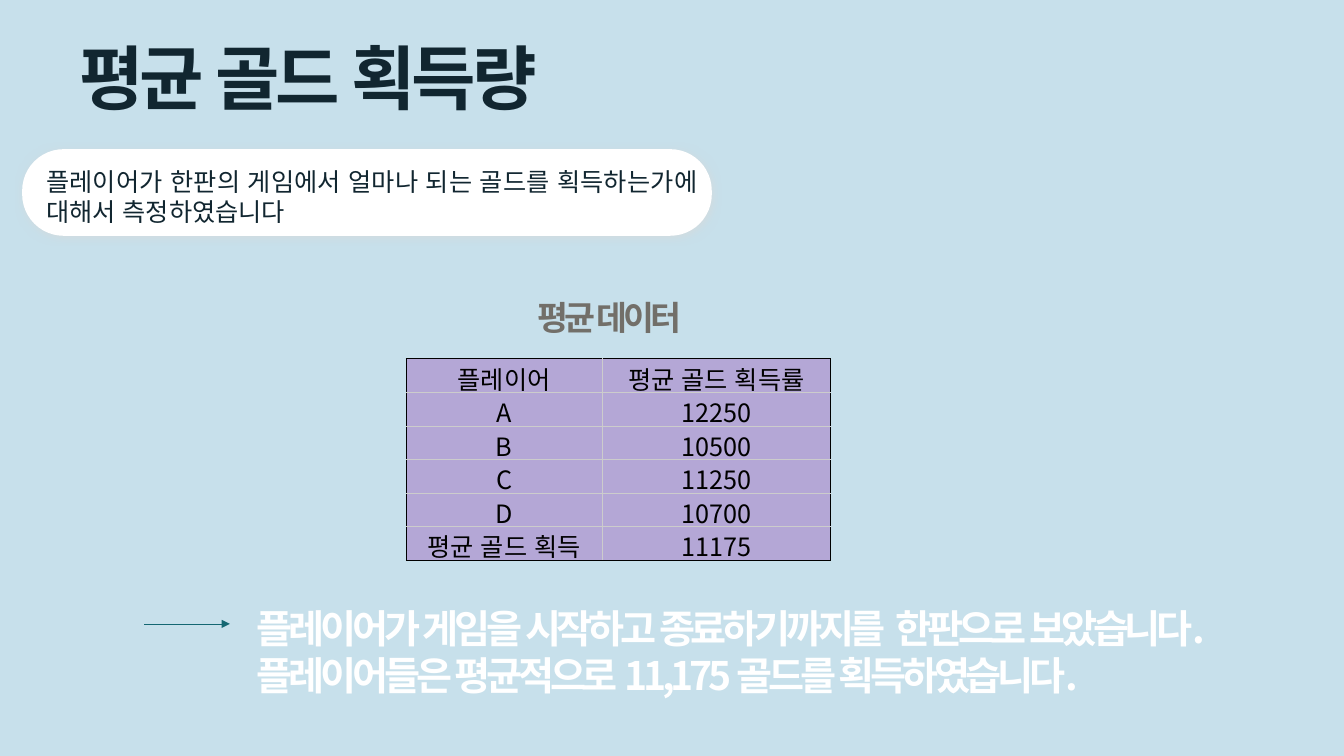
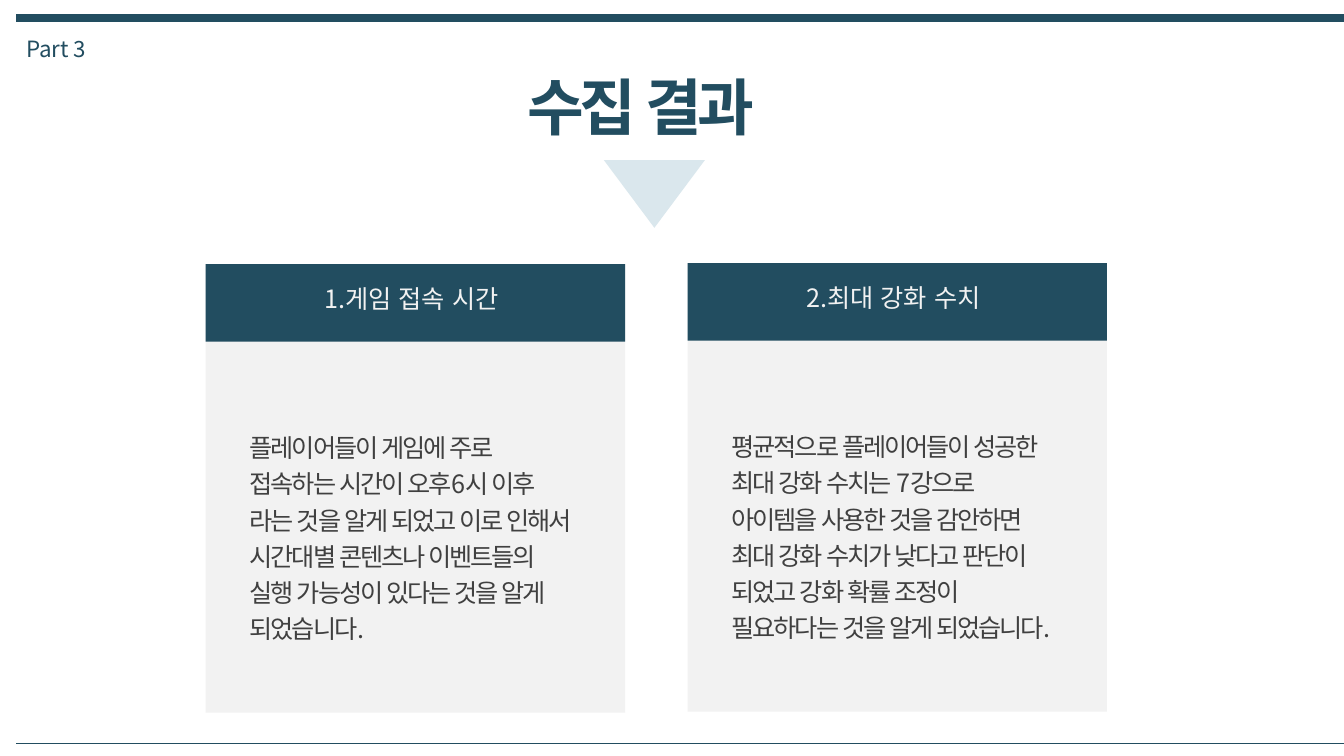
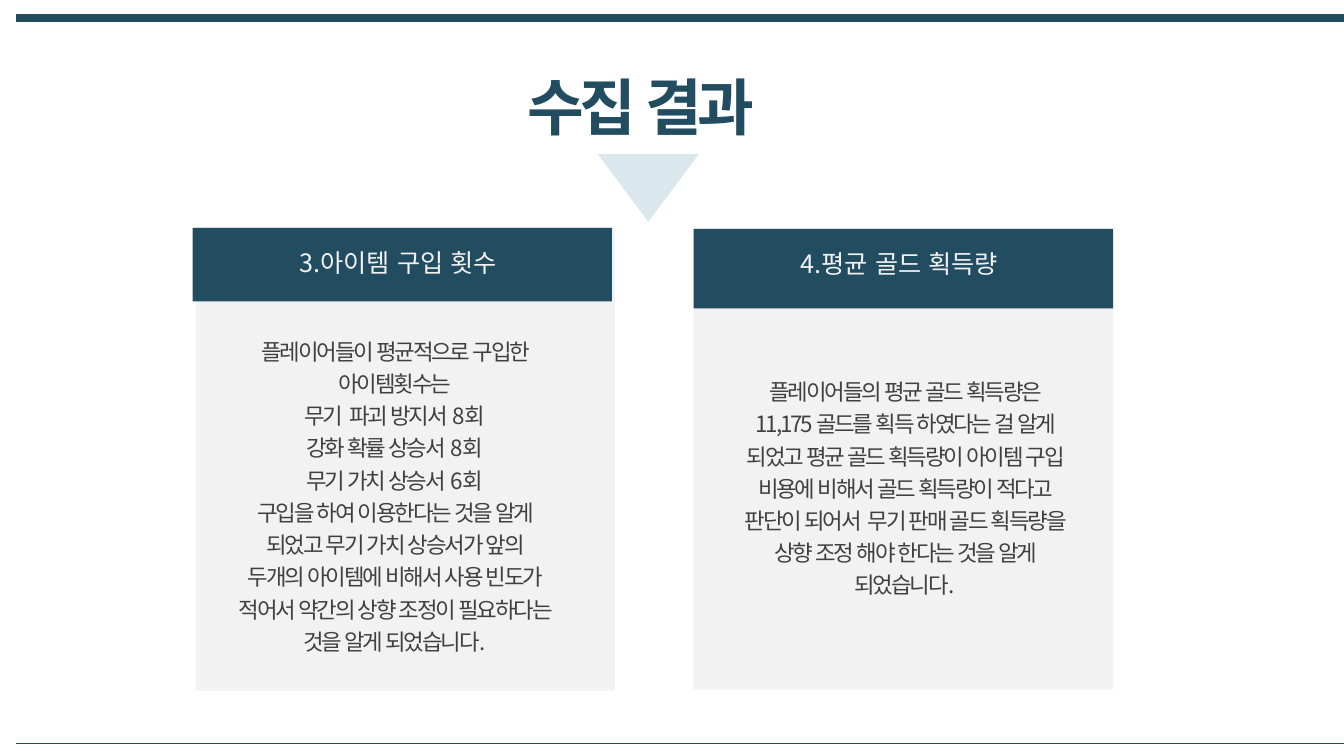
from lxml import etree
from pptx import Presentation
from pptx import util as u
from pptx.dml.color import RGBColor
from pptx.enum import shapes, text
from pptx.enum.lang import MSO_LANGUAGE_ID as Lang
from pptx.oxml import parse_xml
from pptx.oxml.ns import nsdecls, qn

FONT = "Noto Sans CJK KR"
SKY = RGBColor(0xC7, 0xE0, 0xEB)
WHITE = RGBColor(0xFF, 0xFF, 0xFF)
BLACK = RGBColor(0, 0, 0)
INK = RGBColor(0x11, 0x26, 0x30)
NAVY = RGBColor(0x22, 0x4D, 0x60)
TEAL = RGBColor(0x14, 0x67, 0x72)
TAUPE = RGBColor(0x72, 0x6F, 0x69)
LILAC = RGBColor(0xB4, 0xA7, 0xD6)
RULE = RGBColor(0xCC, 0xCC, 0xCC)
PALE = RGBColor(0xF2, 0xF2, 0xF2)
MIST = RGBColor(0xDA, 0xE7, 0xED)
GREY = RGBColor(0x40, 0x40, 0x40)
SHADE = RGBColor(0xD9, 0xD9, 0xD9)

LEFT, MID, JUST = (text.PP_ALIGN.LEFT, text.PP_ALIGN.CENTER,
                   text.PP_ALIGN.JUSTIFY)
RECT = shapes.MSO_SHAPE.RECTANGLE

# Content
INTRO = "플레이어가 한판의 게임에서 얼마나 되는 골드를 획득하는가에 대해서 측정하였습니다"
GOLD = [
    ("플레이어", "평균 골드 획득률"),
    ("A", "12250"),
    ("B", "10500"),
    ("C", "11250"),
    ("D", "10700"),
    ("평균 골드 획득", "11175"),
]
NOTES = [
    "플레이어가 게임을 시작하고 종료하기까지를  한판으로 보았습니다.",
    "플레이어들은 평균적으로 11,175 골드를 획득하였습니다.",
]
# Each card: panel and head boxes, label, text box, size, alignment, lines
RESULTS = [
    dict(part="Part 3", arrow=(5.99, 1.59), cards=[
        dict(panel=(2.04, 2.62, 4.16, 4.45), head=(2.04, 2.62, 4.16, 0.77),
             label="1.게임 접속 시간", body=(2.38, 4.18, 3.43, 2.28),
             size=18, align=LEFT, lines=[
                 "플레이어들이 게임에 주로 접속하는 시간이 오후6시 이후 라는 것을 "
                 "알게 되었고 이로 인해서 시간대별 콘텐츠나 이벤트들의 실행 "
                 "가능성이 있다는 것을 알게 되었습니다."]),
        dict(panel=(6.82, 2.61, 4.16, 4.45), head=(6.82, 2.61, 4.16, 0.77),
             label="2.최대 강화 수치", body=(7.16, 4.17, 3.43, 2.25),
             size=18, align=LEFT, lines=[
                 "평균적으로 플레이어들이 성공한 최대 강화 수치는 7강으로 아이템을 "
                 "사용한 것을 감안하면 최대 강화 수치가 낮다고 판단이 되었고 강화 "
                 "확률 조정이 필요하다는 것을 알게 되었습니다."]),
    ]),
    dict(part=None, arrow=(5.93, 1.53), cards=[
        dict(panel=(1.94, 2.25, 4.16, 4.6), head=(1.91, 2.26, 4.16, 0.73),
             label="3.아이템 구입 횟수", body=(2.25, 3.25, 3.33, 3.3),
             size=16, align=MID, lines=[
                 "플레이어들이 평균적으로 구입한 아이템횟수는",
                 "무기  파괴 방지서 8회",
                 "강화 확률 상승서 8회",
                 "무기 가치 상승서 6회",
                 "구입을 하여 이용한다는 것을 알게 되었고 무기 가치 상승서가 앞의 "
                 "두개의 아이템에 비해서 사용 빈도가 적어서 약간의 상향 조정이 "
                 "필요하다는 것을 알게 되었습니다."]),
        dict(panel=(6.88, 2.27, 4.16, 4.57), head=(6.88, 2.27, 4.16, 0.79),
             label="4.평균 골드 획득량", body=(7.26, 3.65, 3.43, 2.4),
             size=16, align=MID, lines=[
                 "플레이어들의 평균 골드 획득량은 11,175 골드를 획득 하였다는 걸 "
                 "알게 되었고 평균 골드 획득량이 아이템 구입 비용에 비해서 골드 "
                 "획득량이 적다고 판단이 되어서  무기 판매 골드 획득량을 상향 조정 "
                 "해야 한다는 것을 알게 되었습니다."]),
    ]),
]


def inch(box):
    return [u.Inches(v) for v in box]


def write(frame, lines, size, color, bold=False, gap=0, align=LEFT,
          lead=None):
    """Fill a text frame, one paragraph per line."""
    for i, line in enumerate(lines):
        para = frame.paragraphs[0] if i == 0 else frame.add_paragraph()
        para.alignment = align
        if lead:
            para.line_spacing = lead
        run = para.add_run()
        run.text = line
        font = run.font
        font.size, font.bold, font.name = u.Pt(size), bold, FONT
        font.color.rgb = color
        font.language_id = Lang.KOREAN
        props = run._r.get_or_add_rPr()
        if gap:
            props.set("spc", str(int(gap * 100)))
        etree.SubElement(props, qn("a:ea")).set("typeface", FONT)


def label(host, box, lines, size, color, wrap=True, **style):
    frame = host.add_textbox(*inch(box)).text_frame
    frame.word_wrap = wrap
    frame.auto_size = text.MSO_AUTO_SIZE.SHAPE_TO_FIT_TEXT
    write(frame, lines, size, color, **style)


def block(host, kind, box, color):
    shape = host.add_shape(kind, *inch(box))
    shape.shadow.inherit = False
    shape.fill.solid()
    shape.fill.fore_color.rgb = color
    shape.line.fill.background()
    return shape


def rule(host, ends, color, width, arrow=False):
    line = host.add_connector(shapes.MSO_CONNECTOR.STRAIGHT, *inch(ends))
    line.line.color.rgb = color
    line.line.width = u.Pt(width)
    if arrow:
        stroke = line.line._get_or_add_ln()
        etree.SubElement(stroke, qn("a:tailEnd")).set("type", "triangle")
    etree.SubElement(line._element.spPr, qn("a:effectLst"))


def border(cell, side, color):
    cell._tc.get_or_add_tcPr().append(parse_xml(
        f'<a:ln{side} {nsdecls("a")} w="7620"><a:solidFill>'
        f'<a:srgbClr val="{color}"/></a:solidFill></a:ln{side}>'))


def new(deck, color):
    slide = deck.slides.add_slide(deck.slide_layouts[6])
    slide.background.fill.solid()
    slide.background.fill.fore_color.rgb = color
    return slide.shapes


def grid(host):
    rows, cols = len(GOLD), len(GOLD[0])
    frame = host.add_table(rows, cols, *inch((4.03, 3.56, 4.21, 2)))
    table = frame.table
    table.first_row = table.horz_banding = False
    for col, wide in zip(table.columns, (1.94, 2.27)):
        col.width = u.Inches(wide)
    for r, row in enumerate(GOLD):
        for c, value in enumerate(row):
            cell = table.cell(r, c)
            edges = dict(L=c == 0, R=c == cols - 1, T=r == 0, B=r == rows - 1)
            for side, outer in edges.items():
                border(cell, side, BLACK if outer else RULE)
            cell.fill.solid()
            cell.fill.fore_color.rgb = LILAC
            cell.margin_left = cell.margin_right = u.Inches(0.03)
            cell.margin_top, cell.margin_bottom = inch((0.01, 0.02))
            cell.vertical_anchor = text.MSO_ANCHOR.BOTTOM
            write(cell.text_frame, [value], 18, BLACK, align=MID)


def average(deck):
    host = new(deck, SKY)
    label(host, (0.69, 0.29, 5.47, 0.94), ["평균 골드 획득량"], 50, INK,
          bold=True, gap=-3)
    # Introduction in a pill with a soft shadow
    group = host.add_group_shape().shapes
    pill = block(group, shapes.MSO_SHAPE.ROUNDED_RECTANGLE,
                 (0.22, 1.48, 6.84, 0.86), WHITE)
    pill.adjustments[0] = 0.48
    pill._element.spPr.find(qn("a:effectLst")).append(parse_xml(
        f'<a:outerShdw {nsdecls("a")} blurRad="{u.Pt(6)}" dist="{u.Pt(1)}" '
        f'dir="2700000"><a:srgbClr val="{SHADE}"><a:alpha val="60000"/>'
        '</a:srgbClr></a:outerShdw>'))
    label(group, (0.36, 1.6, 6.66, 0.71), [INTRO], 18, INK, align=JUST)
    # Table and conclusion
    label(host, (3.38, 2.9, 5.33, 0.5), ["평균 데이터"], 24, TAUPE,
          bold=True, gap=-3, align=MID)
    grid(host)
    rule(host, (1.43, 6.19, 2.28, 6.19), TEAL, 0.5, arrow=True)
    label(host, (2.45, 5.95, 10.6, 1.04), NOTES, 28, WHITE, wrap=False,
          bold=True, gap=-3)


def card(host, item):
    group = host.add_group_shape().shapes
    block(group, RECT, item["panel"], PALE)
    block(group, RECT, item["head"], NAVY)
    left, top, wide, _ = item["head"]
    span = 3
    label(group, (left + (wide - span) / 2 - 0.04, top + 0.14, span, 0.4),
          [item["label"]], 18, PALE, wrap=False, align=MID)
    label(group, item["body"], item["lines"], item["size"], GREY,
          gap=-1.5, align=item["align"], lead=1.2)


def result(deck, page):
    host = new(deck, WHITE)
    # Shared frame: top band, title, foot rule
    rule(host, (0.16, 0.18, 13.35, 0.18), NAVY, 6)
    if page["part"]:
        label(host, (0.16, 0.3, 0.81, 0.37), [page["part"]], 16, NAVY,
              wrap=False)
    label(host, (5.13, 0.63, 2.85, 0.84), ["수집 결과"], 44, NAVY,
          bold=True, gap=-3)
    rule(host, (0.16, 7.37, 13.35, 7.37), NAVY, 0.25)
    # Pointer and cards
    arrow = block(host, shapes.MSO_SHAPE.ISOSCELES_TRIANGLE,
                  (*page["arrow"], 1, 0.67), MIST)
    arrow.rotation = 180
    for item in page["cards"]:
        card(host, item)


def main():
    deck = Presentation()
    deck.slide_width, deck.slide_height = u.Inches(13.33), u.Inches(7.5)
    average(deck)
    for page in RESULTS:
        result(deck, page)
    deck.save("out.pptx")


if __name__ == "__main__":
    main()
